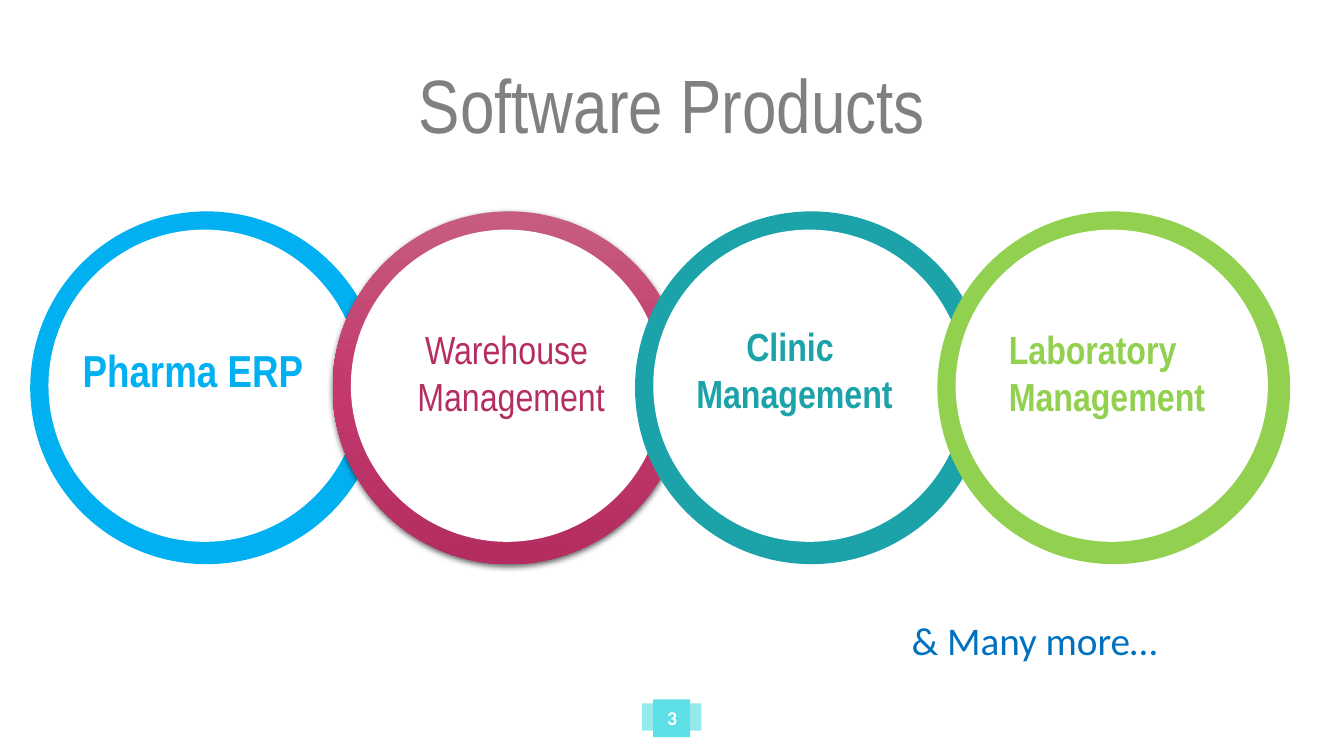
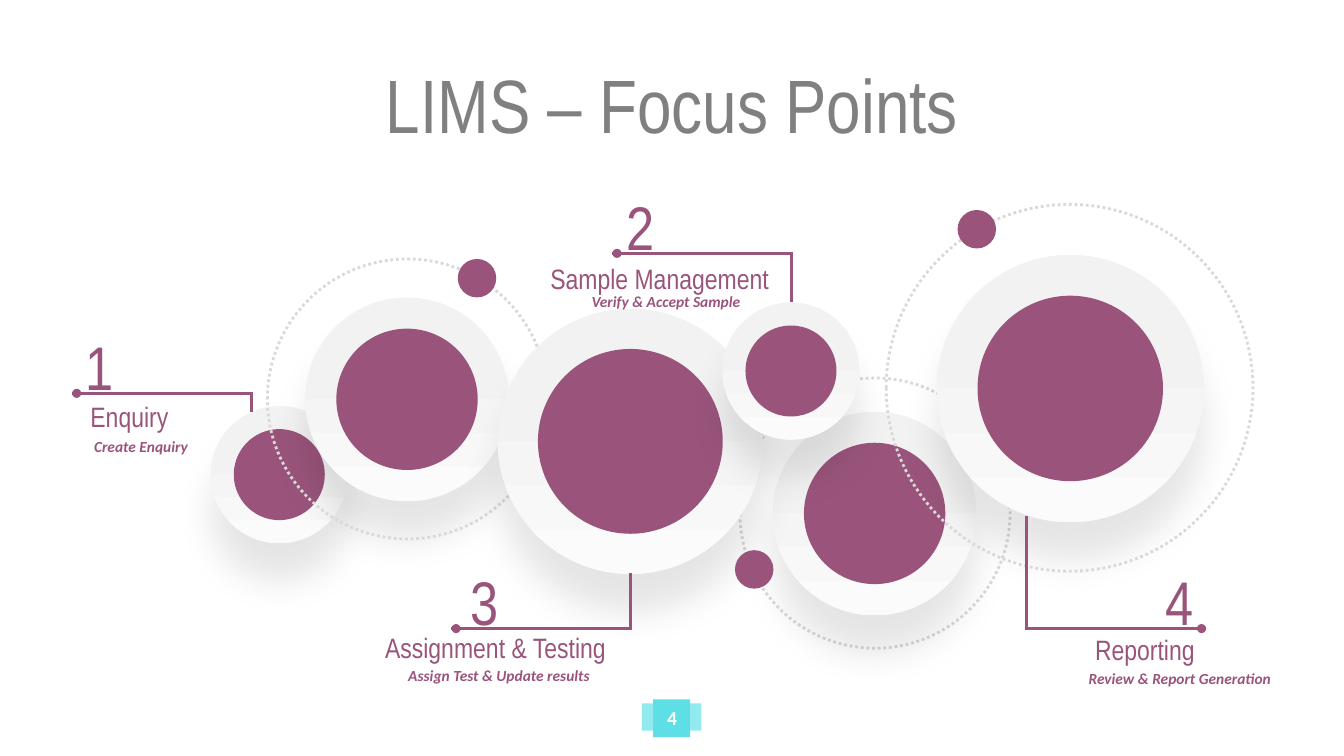
import copy

import lxml.etree
import pptx
import pptx.dml.color
import pptx.enum.dml
import pptx.enum.shapes
import pptx.enum.text
import pptx.oxml.ns
import pptx.util

Pt = pptx.util.Pt
qn = pptx.oxml.ns.qn
Align = pptx.enum.text.PP_ALIGN
Preset = pptx.enum.shapes.MSO_SHAPE

COLORS = {
    "title": "808080", "white": "FFFFFF", "badge": "5DDFE5", "badge_side": "93EAEE",
    "pharma": "00B0F0", "warehouse": "B52E61", "clinic": "1BA3A9", "laboratory": "92D050",
    "more": "0070C0", "plum": "9A547B", "orbit": "D9D9D9",
}
GRADIENTS = {
    "berry": [(0, "C65D80"), (0.5, "C3396D"), (1, "B32D60")],
    "pearl": [(0.33, "F2F2F2"), (1, "FBFBFB")],
}
FORMATS = {
    "title": {"name": "Arial Narrow", "size": Pt(54), "bold": False},
    "page": {"name": "Calibri", "size": Pt(14), "bold": True},
    "lead": {"name": "Arial Narrow", "size": Pt(32), "bold": True},
    "product": {"name": "Arial Narrow", "size": Pt(28), "bold": True},
    "product_plain": {"name": "Arial Narrow", "size": Pt(28), "bold": False},
    "more": {"name": "Calibri", "size": Pt(28)},
    "number": {"name": "Arial Narrow", "size": Pt(44)},
    "heading": {"name": "Arial Narrow", "size": Pt(20)},
    "caption": {"name": "Calibri", "size": Pt(11), "bold": True, "italic": True},
}


def rgb(color):
    return pptx.dml.color.RGBColor.from_string(COLORS.get(color, color))


class Deck:
    """Holds the shared style and the slide being built."""

    def __init__(self):
        self.prs = pptx.Presentation()
        self.prs.slide_width, self.prs.slide_height = Pt(960), Pt(540)
        self.slide = None

    def start(self, title, page):
        self.slide = self.prs.slides.add_slide(self.prs.slide_layouts[5])
        heading = self.slide.shapes.title
        heading.left, heading.top, heading.width, heading.height = map(Pt, (200, 38, 560, 73))
        self.fill_frame(heading.text_frame, [title], "title", "title", Align.CENTER)
        # Page badge
        for left, top, width, height, color in [
            (466.5, 499.5, 26.5, 27, "badge"),
            (458.5, 502.5, 8, 19.5, "badge_side"),
            (493, 502.5, 8, 19.5, "badge_side"),
        ]:
            self.shape(left, top, width, height, color, preset=Preset.RECTANGLE)
        self.text(464, 500.5, 32, 24.5, [str(page)], "page", "white", Align.CENTER)

    def fill_frame(self, frame, lines, style, color, align):
        settings = {"word_wrap": False, "auto_size": pptx.enum.text.MSO_AUTO_SIZE.NONE,
                    "vertical_anchor": pptx.enum.text.MSO_ANCHOR.TOP}
        for key, value in settings.items():
            setattr(frame, key, value)
        for index, line in enumerate(lines):
            paragraph = frame.add_paragraph() if index else frame.paragraphs[0]
            paragraph.alignment = align
            run = paragraph.add_run()
            run.text = line
            for key, value in FORMATS[style].items():
                setattr(run.font, key, value)
            run.font.color.rgb = rgb(color)

    def text(self, left, top, width, height, lines, style, color, align=Align.LEFT):
        box = self.slide.shapes.add_textbox(*map(Pt, (left, top, width, height)))
        self.fill_frame(box.text_frame, lines, style, color, align)

    def shape(self, left, top, width, height, fill, shadow=None, preset=Preset.OVAL):
        shape = self.slide.shapes.add_shape(preset, *map(Pt, (left, top, width, height)))
        shape.shadow.inherit = False
        shape.line.fill.background()
        if fill in GRADIENTS:
            self.gradient(shape, GRADIENTS[fill])
        elif fill:
            shape.fill.solid()
            shape.fill.fore_color.rgb = rgb(fill)
        else:
            shape.fill.background()
        if shadow:
            self.shadow(shape, *shadow)
        return shape

    def gradient(self, shape, stops):
        shape.fill.gradient()
        shape.fill.gradient_angle = 270
        stop_list = shape.element.spPr.find(".//" + qn("a:gsLst"))
        while len(stop_list) < len(stops):
            stop_list.append(copy.deepcopy(stop_list[-1]))
        for stop, (position, color) in zip(shape.fill.gradient_stops, stops):
            stop.position = position
            stop.color.rgb = rgb(color)

    def shadow(self, shape, opacity, blur, distance):
        effects = shape.element.spPr.find(qn("a:effectLst"))
        outer = lxml.etree.SubElement(effects, qn("a:outerShdw"), blurRad=str(Pt(blur)),
                                      dist=str(Pt(distance)), dir="5400000",
                                      algn="t", rotWithShape="0")
        black = lxml.etree.SubElement(outer, qn("a:srgbClr"), val="000000")
        lxml.etree.SubElement(black, qn("a:alpha"), val=str(opacity * 1000))

    def circle(self, left, top, size, fill, shadow=None):
        return self.shape(left, top, size, size, fill, shadow)

    def disc(self, left, top, size, core):
        inset = (size - core) / 2
        self.circle(left, top, size, "pearl", (10, 26, 27))
        self.circle(left + inset, top + inset, core, "plum")

    def orbit(self, left, top, size):
        line = self.circle(left, top, size, None).line
        line.color.rgb = rgb("orbit")
        line.width = Pt(2)
        line.dash_style = pptx.enum.dml.MSO_LINE.ROUND_DOT

    def line(self, x1, y1, x2, y2):
        connector = self.slide.shapes.add_connector(
            pptx.enum.shapes.MSO_CONNECTOR.STRAIGHT, *map(Pt, (x1, y1, x2, y2)))
        connector.line.color.rgb = rgb("plum")
        connector.line.width = Pt(2.25)
        lxml.etree.SubElement(connector.element.spPr, qn("a:effectLst"))

    def callout(self, number, stem, rule_y, direction, number_x, heading, caption):
        # Stem, rule and end dot
        x, start_y = stem
        end_x = x + 128 * direction
        self.line(x, start_y, x, rule_y + (1 if start_y < rule_y else -1))
        self.line(x, rule_y, end_x, rule_y)
        self.circle(end_x - 3.25 - 3.25 * direction, rule_y - 3.25, 6.5, "plum")
        # Number, heading and caption
        align = Align.RIGHT if direction > 0 else Align.LEFT
        self.text(number_x, rule_y - 49.7, 34.5, 60.5, [number], "number", "plum", align)
        left, top, width, words = heading
        self.text(left, top, width, 31.5, [words], "heading", "plum", align)
        left, top, words = caption
        self.text(left, top, 153.5, 20.5, [words], "caption", "plum", Align.CENTER)


def software_products(deck):
    deck.start("Software Products", 3)
    products = [
        ("pharma", "pharma", None, (52, 241, 173.5, 46), ["Pharma ERP"], "lead", Align.LEFT),
        ("berry", "warehouse", (63, 4.5, 1.5), (290, 229, 150, 75),
         ["Warehouse ", "Management"], "product_plain", Align.CENTER),
        ("clinic", "clinic", None, (489.5, 227, 156, 75),
         ["Clinic ", "Management"], "product", Align.CENTER),
        ("laboratory", "laboratory", None, (713.5, 229, 156, 75),
         ["Laboratory", "Management"], "product", Align.LEFT),
    ]
    for index, (ring, color, shadow, box, lines, style, align) in enumerate(products):
        left = 21.6 + 216 * index
        deck.circle(left, 151, 252, ring, shadow)
        deck.circle(left + 13, 164, 223, "white")
        deck.text(*box, lines, style, color, align)
    deck.text(644, 436.5, 193, 41, ["& Many more…"], "more", "more")


def focus_points(deck):
    deck.start("LIMS – Focus Points", 4)
    # Discs and dotted orbits, from back to front
    deck.orbit(528.5, 270, 193)
    for disc in [(552, 294, 145.5, 101), (150.5, 290, 98, 65),
                 (218, 212.5, 145.5, 101), (669, 182, 191, 132.5)]:
        deck.disc(*disc)
    deck.orbit(191, 185, 200)
    for disc in [(355.5, 220.5, 189.5, 132), (516, 216, 98, 65)]:
        deck.disc(*disc)
    deck.orbit(633, 146, 262)
    for left, top in [(327, 185), (525, 393), (684, 150)]:
        deck.circle(left, top, 27.5, "plum")
    # Numbered callouts
    for callout in [
        ("1", (179.5, 294), 281, -1, 54, (57.5, 282, 70.5, "Enquiry"),
         (24, 309, "Create Enquiry")),
        ("2", (565.5, 216), 181, -1, 440.5, (386, 183, 172, "Sample Management"),
         (399, 205, "Verify & Accept Sample")),
        ("3", (450.5, 409.5), 449, -1, 329, (268, 446.5, 173.5, "Assignment & Testing"),
         (281, 472.5, "Assign Test & Update results ")),
        ("4", (733.5, 368.5), 449, 1, 825, (774, 448, 86.5, "Reporting"),
         (766, 474.5, "Review & Report Generation")),
    ]:
        deck.callout(*callout)


def main():
    deck = Deck()
    software_products(deck)
    focus_points(deck)
    deck.prs.save("out.pptx")


if __name__ == "__main__":
    main()
